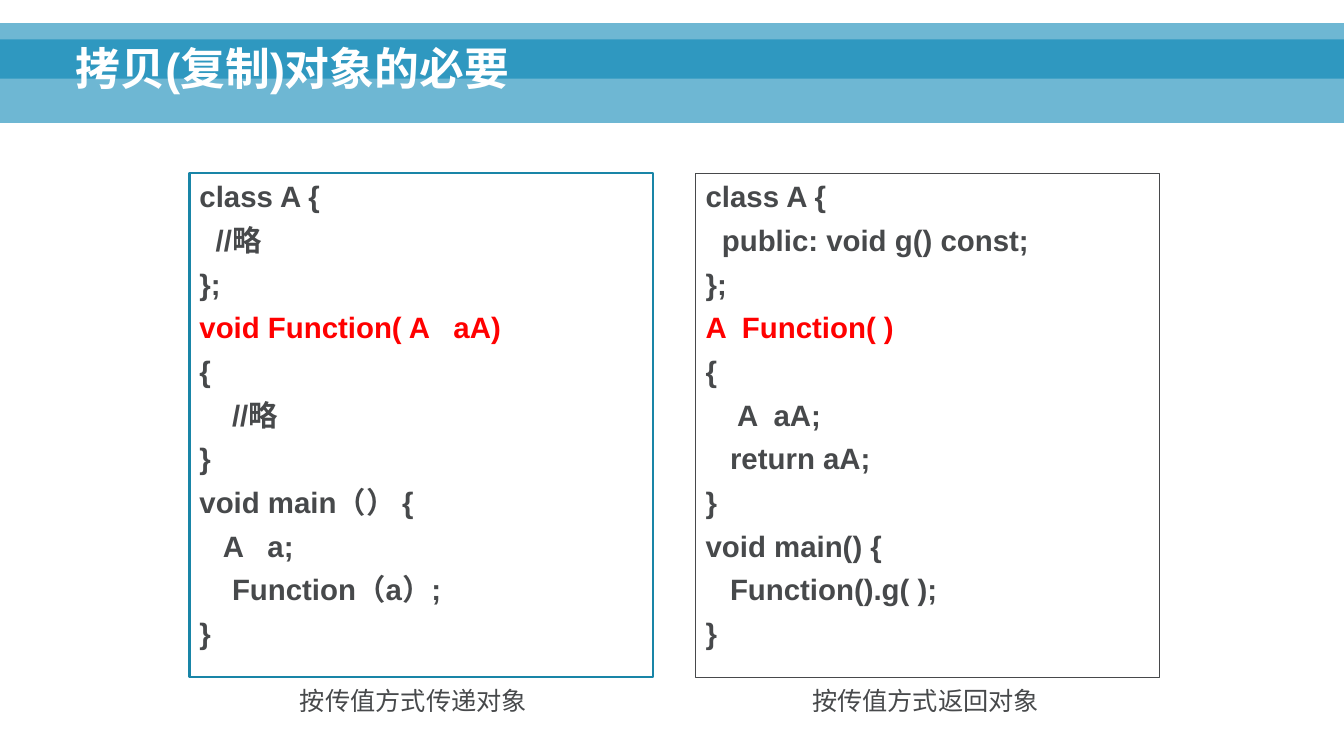
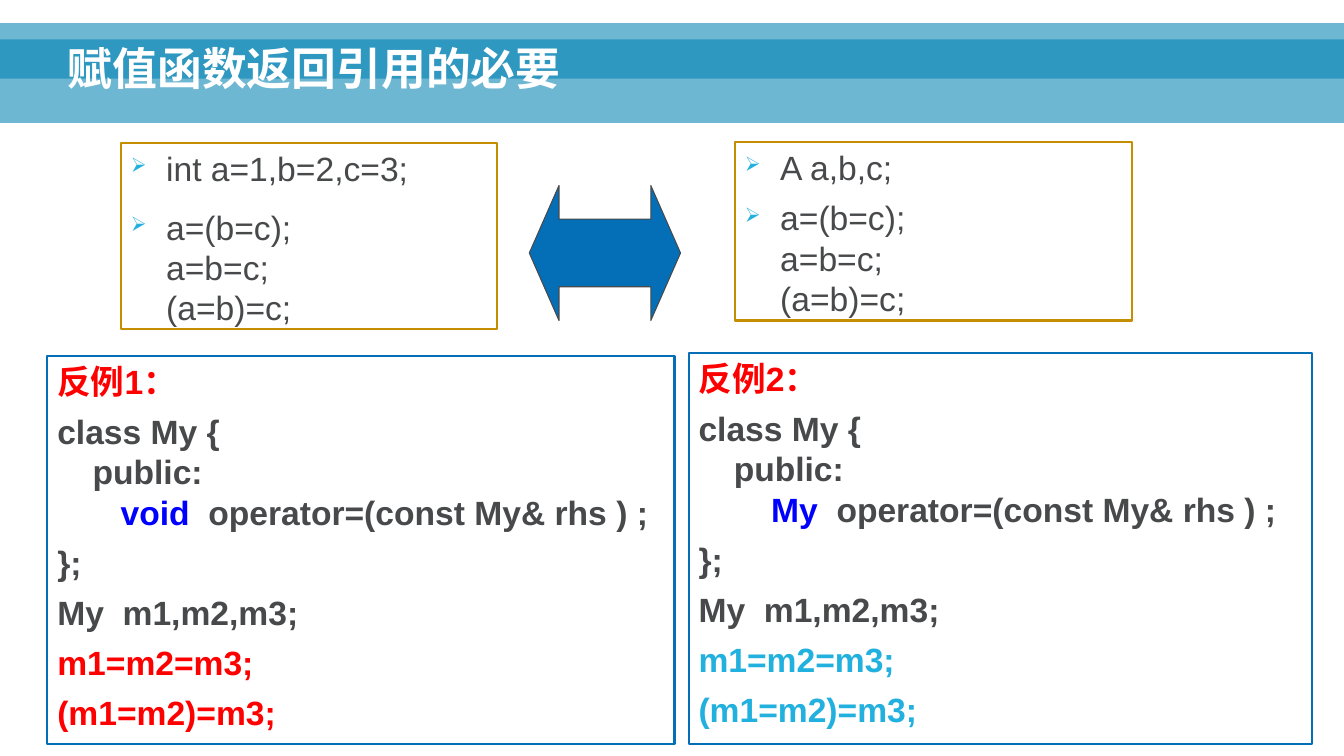
from lxml import etree
from pptx import Presentation
from pptx.dml.color import RGBColor
from pptx.enum.shapes import MSO_SHAPE as Preset
from pptx.enum.text import MSO_ANCHOR as Anchor, MSO_AUTO_SIZE as AutoSize, PP_ALIGN as Align
from pptx.oxml.ns import qn
from pptx.util import Inches, Pt

COLOURS = {
    "band": "0082B3", "white": "FFFFFF", "text": "47494B", "red": "FF0000",
    "keyword": "0000FF", "cyan": "22B1DE", "teal": "1985A7", "blue": "046FB6",
    "gold": "C58D01",
}
FONT = "Arial"
TITLE_ONLY = 5


def rgb(name):
    return RGBColor.from_string(COLOURS[name])


class Deck:
    def __init__(self):
        self.presentation = Presentation()
        self.presentation.slide_width = Inches(13.33)
        self.presentation.slide_height = Inches(7.5)
        self.layout = self.presentation.slide_layouts[TITLE_ONLY]
        self.slide = None

    def add_slide(self, title, left):
        first = self.slide is None
        self.slide = self.presentation.slides.add_slide(self.layout)
        if first:
            self.add_layout_bands()
        shape = self.slide.shapes.title
        shape.left, shape.top = Inches(left), Inches(0.12)
        shape.width, shape.height = Inches(11.98), Inches(0.87)
        frame = shape.text_frame
        frame.text = title
        frame.vertical_anchor = Anchor.BOTTOM
        frame.auto_size = AutoSize.NONE
        paragraph = frame.paragraphs[0]
        paragraph.alignment = Align.LEFT
        paragraph.line_spacing = 0.9
        self.format_run(paragraph.runs[0], 32, "white", True)

    def add_layout_bands(self):
        """Draw the two see-through bands and move them to the shared layout."""
        tree = self.layout.shapes.element
        for position, (top, height) in enumerate([(0.39, 0.83), (0.23, 0.55)], 2):
            band = self.add_preset(Preset.RECTANGLE, (0, top, 13.33, height), "band")
            colour = band.element.spPr.find(".//" + qn("a:srgbClr"))
            etree.SubElement(colour, qn("a:alpha"), val="57000")
            tree.insert(position, band.element)

    def add_preset(self, preset, place, fill, line=None):
        shape = self.slide.shapes.add_shape(preset, *map(Inches, place))
        shape.shadow.inherit = False
        shape.fill.solid()
        shape.fill.fore_color.rgb = rgb(fill)
        self.format_line(shape, line, 0.75)
        return shape

    def add_text(self, place, paragraphs, size, line=None, line_width=1.5, bold=False,
                 align=Align.LEFT, hanging=0, before=0, after=0, bullet=None):
        """Each paragraph is a list of (text, colour) parts."""
        shape = self.slide.shapes.add_textbox(*map(Inches, place))
        self.format_line(shape, line, line_width)
        frame = shape.text_frame
        frame.word_wrap = True
        for index, parts in enumerate(paragraphs):
            paragraph = frame.add_paragraph() if index else frame.paragraphs[0]
            self.format_paragraph(paragraph, hanging, bullet)
            paragraph.alignment = align
            paragraph.space_before = Pt(before if index else 0)
            paragraph.space_after = Pt(after)
            for text, colour in parts:
                done = len(paragraph.runs)
                if done:
                    paragraph.add_run().text = text
                else:
                    paragraph.text = text
                for run in paragraph.runs[done:]:
                    self.format_run(run, size, colour, bold)

    @staticmethod
    def format_paragraph(paragraph, hanging, bullet):
        properties = paragraph._p.get_or_add_pPr()
        properties.set("marL", str(Inches(hanging)))
        properties.set("indent", str(-Inches(hanging)))
        if bullet:
            colour = etree.SubElement(properties, qn("a:buClr"))
            etree.SubElement(colour, qn("a:srgbClr"), val=COLOURS["cyan"])
            etree.SubElement(properties, qn("a:buSzPct"), val="60000")
            etree.SubElement(properties, qn("a:buChar"), char=bullet)

    @staticmethod
    def format_run(run, size, colour, bold):
        run.font.name = FONT
        run.font.size = Pt(size)
        run.font.bold = bold
        run.font.color.rgb = rgb(colour)

    @staticmethod
    def format_line(shape, colour, width):
        if colour:
            shape.line.color.rgb = rgb(colour)
            shape.line.width = Pt(width)
        else:
            shape.line.fill.background()

    def add_listing(self, left, lines, red_line, line, line_width):
        paragraphs = [[(text, "red" if text == red_line else "text")] for text in lines]
        self.add_text((left, 1.72, 4.6, 5), paragraphs, 21, line, line_width, bold=True,
                      align=Align.JUSTIFY, hanging=0.4, before=3, after=3)

    def add_caption(self, place, text):
        self.add_text(place, [[(text, "text")]], 18, align=Align.CENTER)

    def add_statements(self, place, declaration, after=0):
        assignments = "a=(b=c);\na=b=c;\n(a=b)=c;"
        self.add_text(place, [[(declaration, "text")], [(assignments, "text")]], 24, "gold",
                      hanging=0.35, before=7, after=after, bullet="➢")

    def add_counterexample(self, place, heading, indent, return_type, result_colour):
        paragraphs = [
            [(heading, "red")],
            [("class My {\npublic:\n" + indent, "text"), (return_type, "keyword"),
             ("  operator=(const My& rhs ) ;", "text")],
            [("};", "text")],
            [("My  m1,m2,m3;", "text")],
            [("m1=m2=m3;", result_colour)],
            [("(m1=m2)=m3;", result_colour)],
        ]
        self.add_text(place, paragraphs, 24, "blue", bold=True, hanging=0.35, before=7)


def build_copy_slide(deck):
    deck.add_slide("拷贝(复制)对象的必要", 0.65)
    passing = ["class A {", "  //略", "};", "void Function( A   aA)", "{", "    //略", "}",
               "void main（） {", "   A   a;", "    Function（a）;", "}"]
    returning = ["class A {", "  public: void g() const;", "};", "A  Function( )", "{",
                 "    A  aA;", "   return aA;", "}", "void main() {",
                 "   Function().g( );", "}"]
    deck.add_listing(1.88, passing, "void Function( A   aA)", "teal", 1.5)
    deck.add_listing(6.9, returning, "A  Function( )", "text", 0.75)
    deck.add_caption((2.09, 6.75, 4.02, 0.4), "按传值方式传递对象")
    deck.add_caption((7.84, 6.75, 2.68, 0.4), "按传值方式返回对象")


def build_assignment_slide(deck):
    deck.add_slide("赋值函数返回引用的必要", 0.57)
    deck.add_statements((1.2, 1.42, 3.73, 1.84), "int a=1,b=2,c=3;", after=6)
    deck.add_statements((7.29, 1.41, 3.94, 1.77), "A a,b,c;")
    arrow = deck.add_preset(Preset.LEFT_RIGHT_ARROW, (5.25, 1.84, 1.5, 1.34), "blue", "text")
    arrow.adjustments[0] = 0.5
    arrow.adjustments[1] = 0.22
    deck.add_counterexample((0.47, 3.53, 6.22, 3.85), "反例1：", "   ", "void", "red")
    deck.add_counterexample((6.83, 3.5, 6.18, 3.88), "反例2：", "    ", "My", "cyan")


def main():
    deck = Deck()
    build_copy_slide(deck)
    build_assignment_slide(deck)
    deck.presentation.save("out.pptx")


if __name__ == "__main__":
    main()
